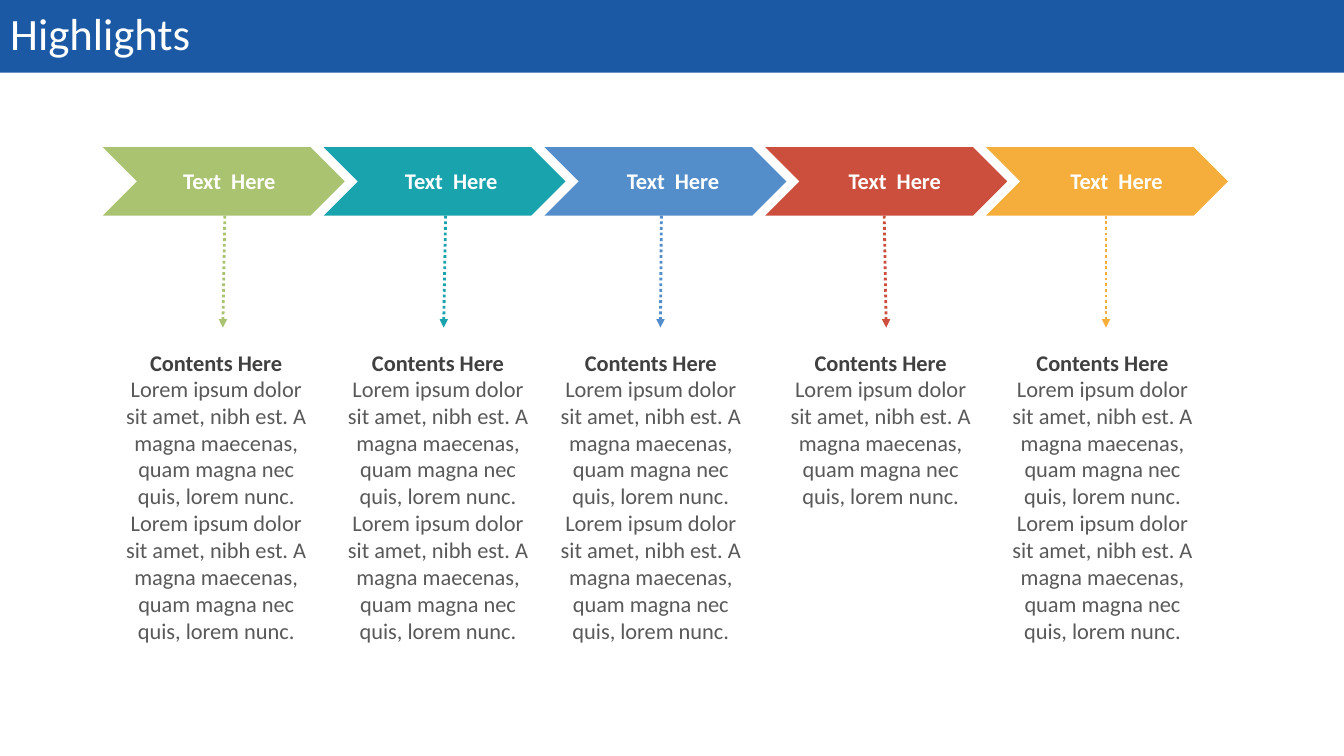
from pptx import Presentation
from pptx.dml.color import RGBColor
from pptx.enum.dml import MSO_LINE
from pptx.enum.shapes import MSO_CONNECTOR, MSO_SHAPE
from pptx.enum.text import MSO_ANCHOR, MSO_AUTO_SIZE, PP_ALIGN
from pptx.oxml.ns import qn
from pptx.util import Inches, Pt
from lxml import etree

STRAIGHT = MSO_CONNECTOR.STRAIGHT
CHEVRON = MSO_SHAPE.CHEVRON
DOTTED = MSO_LINE.ROUND_DOT
MIDDLE = MSO_ANCHOR.MIDDLE
FIT_SHAPE = MSO_AUTO_SIZE.SHAPE_TO_FIT_TEXT
NO_FIT = MSO_AUTO_SIZE.NONE
LEFT, CENTER = PP_ALIGN.LEFT, PP_ALIGN.CENTER

COLORS = {
    "banner": "1B59A4",
    "white": "FFFFFF",
    "heading": "404040",
    "body": "595959",
    "green": "A9C370",
    "teal": "19A4AD",
    "blue": "538ECB",
    "red": "CC4E3D",
    "orange": "F5AE3B",
}
LOREM = "Lorem ipsum dolor sit amet, nibh est. A magna maecenas, quam magna nec quis, lorem nunc."
STEPS = [
    ("green", 2.23, 2.21, 1.08, 2),
    ("teal", 4.42, 4.40, 3.28, 2),
    ("blue", 6.56, 6.55, 5.39, 2),
    ("red", 8.77, 8.79, 7.67, 1),
    ("orange", 10.97, 10.97, 9.87, 2),
]


class SlidePainter:
    font_name = "Calibri"

    def __init__(self, page):
        self.page = page

    def color(self, name):
        return RGBColor.from_string(COLORS[name])

    def style(self, para, size, color, align, bold=False):
        para.alignment = align
        para.font.name = self.font_name
        para.font.size = Pt(size)
        para.font.bold = bold
        para.font.color.rgb = self.color(color)

    def title(self, text, width, height):
        box = self.page.shapes.title
        box.left, box.top = Inches(0), Inches(0)
        box.width, box.height = Inches(width), Inches(height)
        box.fill.solid()
        box.fill.fore_color.rgb = self.color("banner")
        frame = box.text_frame
        frame.text = text
        frame.auto_size = NO_FIT
        frame.vertical_anchor = MIDDLE
        para = frame.paragraphs[0]
        para.line_spacing = 0.9
        self.style(para, 32, "white", LEFT)

    def chevron(self, left, top, width, height, color):
        shape = self.page.shapes.add_shape(
            CHEVRON, Inches(left), Inches(top), Inches(width), Inches(height))
        shape.shadow.inherit = False
        shape.fill.solid()
        shape.fill.fore_color.rgb = self.color(color)
        shape.line.fill.background()

    def text(self, text, left, top, width, height, color, bold=False):
        box = self.page.shapes.add_textbox(
            Inches(left), Inches(top), Inches(width), Inches(height))
        frame = box.text_frame
        frame.text = text
        frame.word_wrap = True
        frame.auto_size = FIT_SHAPE
        self.style(frame.paragraphs[0], 16, color, CENTER, bold)

    def arrow(self, start_x, start_y, end_x, end_y, color):
        arrow = self.page.shapes.add_connector(
            STRAIGHT, Inches(start_x), Inches(start_y), Inches(end_x), Inches(end_y))
        arrow.line.color.rgb = self.color(color)
        arrow.line.width = Pt(2)
        arrow.line.dash_style = DOTTED
        etree.SubElement(arrow.line._get_or_add_ln(), qn("a:tailEnd"), type="triangle")
        etree.SubElement(arrow._element.spPr, qn("a:effectLst"))


def main():
    deck = Presentation()
    deck.slide_width, deck.slide_height = Inches(13.33), Inches(7.5)
    painter = SlidePainter(deck.slides.add_slide(deck.slide_layouts[5]))
    painter.title("Highlights", 13.33, 0.72)

    for index, (color, start_x, end_x, text_left, repeats) in enumerate(STEPS):
        painter.chevron(1.02 + 2.19 * index, 1.46, 2.4, 0.68, color)
        painter.text("Text  Here", 1.34 + 2.2 * index, 1.61, 1.87, 0.37, "white", bold=True)
        painter.arrow(start_x, 2.14, end_x, 3.25, color)
        body = " ".join([LOREM] * repeats)
        painter.text(body, text_left, 3.67, 2.13, 0.11 + 1.34 * repeats, "body")
        painter.text("Contents Here", text_left, 3.41, 2.13, 0.37, "heading", bold=True)

    deck.save("out.pptx")


if __name__ == "__main__":
    main()
